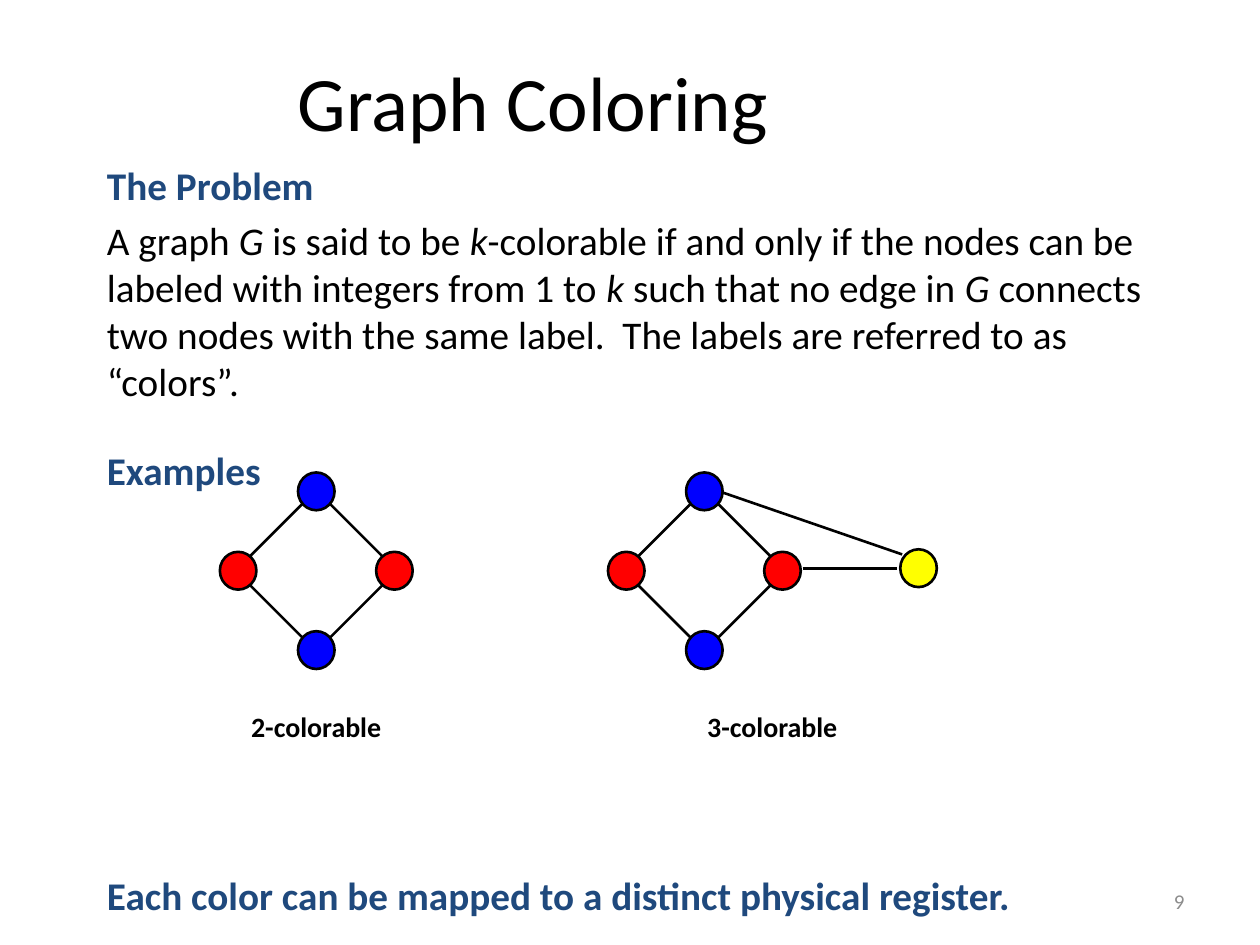
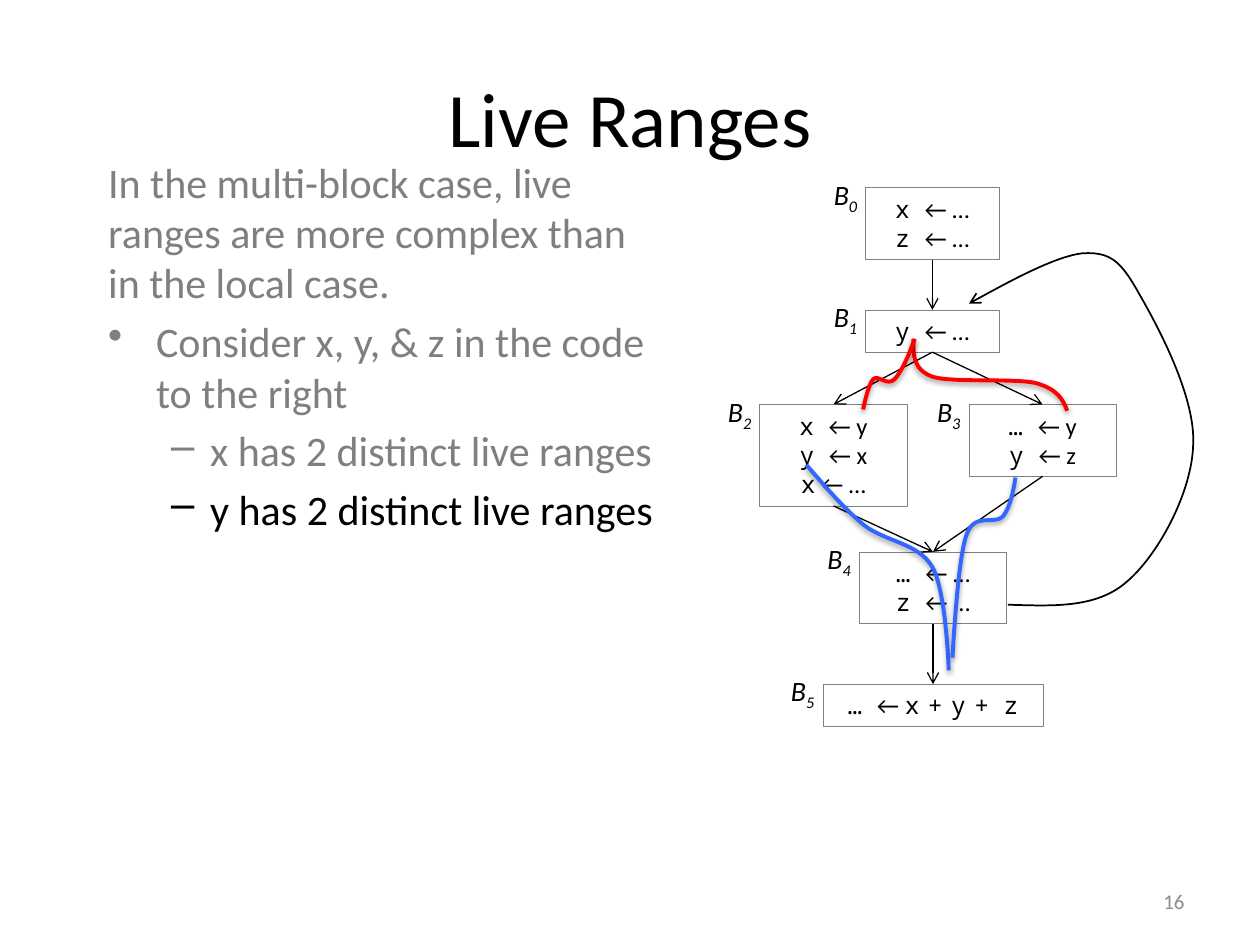
from itertools import product

from lxml import etree
from pptx import Presentation
from pptx import util as u
from pptx.dml.color import RGBColor
from pptx.enum import shapes, text
from pptx.oxml.ns import qn

COLORS = {
    "black": "000000", "heading": "1F497D", "gray": "7F7F7F", "footer": "8C8C8C",
    "frame": "808080", "blue": "0000FF", "red": "FF0000", "yellow": "FFFF00",
    "range": "3366FF",
}
AL, ANC = text.PP_ALIGN, text.MSO_ANCHOR
OVAL, RECT = shapes.MSO_SHAPE.OVAL, shapes.MSO_SHAPE.RECTANGLE
STRAIGHT = shapes.MSO_CONNECTOR.STRAIGHT
MONO = {"name": "Noto Sans Mono"}
SMALL = {"name": "Noto Sans Mono", "size": u.Pt(8)}
ITALIC = {"italic": True}

prs = Presentation()
prs.slide_width, prs.slide_height = u.Inches(10), u.Inches(7.5)
COL = prs.slide_width / 10
ROW = prs.slide_height / 7.5


def write(sp, paras, size, color="black", align=AL.LEFT, anchor=ANC.TOP, gaps=()):
    tf = sp.text_frame
    tf.word_wrap = True
    tf.vertical_anchor = anchor
    for i, runs in enumerate(paras):
        p = tf.paragraphs[0] if i == 0 else tf.add_paragraph()
        p.alignment = align
        if i and gaps:
            p.space_before = u.Pt(gaps[i])
        for words, style in runs:
            r = p.add_run()
            r.text = words
            look = {"name": "Calibri", "size": u.Pt(size), "color": color} | style
            r.font.color.rgb = RGBColor.from_string(COLORS[look.pop("color")])
            for key, value in look.items():
                setattr(r.font, key, value)
    return tf


def stroke(sp, color, width, arrow=False):
    sp.line.color.rgb = RGBColor.from_string(COLORS[color])
    sp.line.width = u.Pt(width)
    spPr = sp._element.spPr
    if arrow:
        etree.SubElement(spPr.find(qn("a:ln")), qn("a:tailEnd"), type="arrow")
    return etree.SubElement(spPr, qn("a:effectLst"))


slides = []
for title, top, inset, number in [("Graph Coloring", 0.17, 1.64, "9"),
                                  ("Live Ranges", 0.3, 0.1, "16")]:
    s = prs.slides.add_slide(prs.slide_layouts[6])
    sp = s.shapes.add_textbox(int(0.5 * COL), int(top * ROW), int(9 * COL), int(1.25 * ROW))
    tf = write(sp, [[(title, {})]], 44, align=AL.CENTER, anchor=ANC.MIDDLE)
    tf.margin_right = int(inset * COL)
    sp = s.shapes.add_textbox(int(7.17 * COL), int(6.95 * ROW), int(2.33 * COL), int(0.4 * ROW))
    write(sp, [[(number, {})]], 12, "footer", AL.RIGHT, ANC.MIDDLE)
    slides.append(s)

s = slides[0]
HEAD = {"bold": True, "color": "heading"}
sp = s.shapes.add_textbox(int(0.75 * COL), int(1.23 * ROW), int(8.55 * COL), int(5.65 * ROW))
write(sp, [
    [("The Problem", HEAD)],
    [("A graph ", {}), ("G", ITALIC), (" is said to be ", {}), ("k", ITALIC),
     ("-colorable if and only if the nodes can be labeled with integers from 1 to ", {}),
     ("k", ITALIC), (" such that no edge in ", {}), ("G", ITALIC),
     (" connects two nodes with the same label.  The labels are referred to as “colors”.", {})],
    [("Examples", HEAD)],
    [("Each color can be mapped to a distinct physical register.", HEAD)],
], 22.4, gaps=(0, 4.5, 24, 216))

mid = 4.53
nodes, edges = [(7.29, mid - 0.02, "yellow")], [(6.37, 4.51, 7.12, 4.51), (5.71, 3.9, 7.16, 4.4)]
for cx, label, left in [(2.51, "2-colorable", 1.76), (5.59, "3-colorable", 5.38)]:
    for side in (-1, 1):
        nodes += [(cx, mid + side * 0.63, "blue"), (cx + side * 0.62, mid, "red")]
    for sx, sy in product((-1, 1), repeat=2):
        edges.append((cx + sx * 0.1, mid + sy * 0.54, cx + sx * 0.53, mid + sy * 0.11))
    sp = s.shapes.add_textbox(int(left * COL), int(5.58 * ROW), int(1.5 * COL), int(0.37 * ROW))
    write(sp, [[(label, {"bold": True})]], 16, align=AL.CENTER)
for x1, y1, x2, y2 in edges:
    sp = s.shapes.add_connector(STRAIGHT, int(x1 * COL), int(y1 * ROW), int(x2 * COL), int(y2 * ROW))
    stroke(sp, "black", 1.5)
for cx, cy, color in nodes:
    sp = s.shapes.add_shape(OVAL, int((cx - 0.145) * COL), int((cy - 0.15) * ROW),
                            int(0.29 * COL), int(0.3 * ROW))
    sp.fill.solid()
    sp.fill.fore_color.rgb = RGBColor.from_string(COLORS[color])
    stroke(sp, "black", 1.5)

s = slides[1]
blocks = [
    (6.87, 1.49, 1.06, [("x ", "← …"), ("z ", "← …")]),
    (6.87, 2.46, 1.06, [("y ", "← …")]),
    (6.03, 3.21, 1.17, [("x ", "← y"), ("y ", "← x"), ("x", " ← …")]),
    (7.69, 3.21, 1.17, [("… ", "← y"), ("y ", "← z")]),
    (6.82, 4.38, 1.17, [("… ", "← …"), ("z ", "← …")]),
    (6.53, 5.43, 1.75, [("… ", "← ")]),
]
total = [("x", MONO), (" ", SMALL), ("+", MONO), (" ", SMALL), ("y", MONO), (" ", SMALL), ("+ z", MONO)]
heights = [0.1 + 0.235 * len(code) for x, y, w, code in blocks]
for i, (x, y, w, code) in enumerate(blocks):
    sp = s.shapes.add_shape(RECT, int(x * COL), int(y * ROW), int(w * COL), int(heights[i] * ROW))
    sp.fill.background()
    stroke(sp, "frame", 0.25)
    paras = [[(target, MONO), (value, {})] for target, value in code]
    if i == 5:
        paras[0] += total
    write(sp, paras, 14, align=AL.CENTER)
    sp = s.shapes.add_textbox(int((x - 0.43) * COL), int((y - 0.13) * ROW), int(0.54 * COL), int(0.37 * ROW))
    tf = write(sp, [[("B", ITALIC), (str(i), ITALIC)]], 16, align=AL.CENTER)
    tf.paragraphs[0].runs[1]._r.get_or_add_rPr().set("baseline", "-25000")

for a, b in [(0, 1), (1, 2), (1, 3), (2, 4), (3, 4), (4, 5)]:
    (x1, y1, w1, _), (x2, y2, w2, _) = blocks[a], blocks[b]
    sp = s.shapes.add_connector(STRAIGHT, int((x1 + w1 / 2) * COL), int((y1 + heights[a]) * ROW),
                                int((x2 + w2 / 2) * COL), int(y2 * ROW))
    stroke(sp, "black", 0.75, arrow=True)

curves = [
    ("black", [(8, 4.8), (8.35, 4.81), (8.7, 4.83), (8.94, 4.62), (9.19, 4.41), (9.46, 3.91),
               (9.47, 3.53), (9.49, 3.15), (9.19, 2.59), (9.04, 2.33), (8.9, 2.08), (8.82, 2),
               (8.6, 2.01), (8.37, 2.03), (7.69, 2.41), (7.69, 2.41)]),
    ("red", [(7.25, 2.69), (7.25, 2.81), (7.24, 2.93), (7.4, 2.99), (7.56, 3.04), (8.04, 3),
             (8.22, 3.04), (8.4, 3.09), (8.44, 3.18), (8.47, 3.26)]),
    ("red", [(7.26, 2.69), (7.21, 2.83), (7.15, 2.96), (7.1, 3.01), (7.04, 3.07), (6.97, 2.97),
             (6.93, 3.01), (6.89, 3.05), (6.85, 3.25), (6.85, 3.25)]),
    ("range", [(6.4, 3.69), (6.55, 3.86), (6.69, 4.03), (6.86, 4.17), (7.03, 4.3), (7.29, 4.31),
               (7.4, 4.5), (7.51, 4.69), (7.53, 5.32), (7.53, 5.32)]),
    ("range", [(8.06, 3.79), (8.04, 3.91), (8.02, 4.02), (7.96, 4.1), (7.89, 4.17), (7.73, 4.06),
               (7.67, 4.25), (7.6, 4.44), (7.56, 5.22), (7.56, 5.22)]),
]
for color, points in curves:
    pts = [(int(x * COL), int(y * ROW)) for x, y in points]
    fb = s.shapes.build_freeform(*pts[0])
    fb.add_line_segments(pts[1:], close=False)
    sp = fb.convert_to_shape()
    sp.fill.background()
    outline = next(sp._element.iter(qn("a:path")))
    for i, seg in enumerate(outline.findall(qn("a:lnTo"))):
        if i % 3 == 0:
            bez = etree.SubElement(outline, qn("a:cubicBezTo"))
        bez.append(seg[0])
        outline.remove(seg)
    back_edge = color == "black"
    effects = stroke(sp, color, 1 if back_edge else 2.25, arrow=back_edge)
    if not back_edge:
        shadow = etree.SubElement(effects, qn("a:outerShdw"), blurRad="40000", dist="20000",
                                  dir="5400000", rotWithShape="0")
        tint = etree.SubElement(shadow, qn("a:srgbClr"), val=COLORS["black"])
        etree.SubElement(tint, qn("a:alpha"), val="38000")

sp = s.shapes.add_textbox(int(0.76 * COL), int(1.19 * ROW), int(4.55 * COL), int(5.53 * ROW))
tf = write(sp, [
    [("In the multi-block case, live ranges are more complex than in the local case.", {})],
    [("Consider x, y, & z in the code to the right", {})],
    [("x has 2 distinct live ranges", {})],
    [("y has 2 distinct live ranges", {"color": "black"})],
], 24, "gray", gaps=(0, 4.8, 4.8, 4.8))
bullets = [("•", 0, 0.38, 0.38), ("–", 1, 0.81, 0.31), ("–", 1, 0.81, 0.31)]
for p, (mark, level, indent, hang) in zip(tf.paragraphs[1:], bullets):
    p.level = level
    pPr = p._p.get_or_add_pPr()
    pPr.set("marL", str(int(indent * COL)))
    pPr.set("indent", str(int(-hang * COL)))
    etree.SubElement(pPr, qn("a:buChar"), char=mark)

prs.save("out.pptx")
